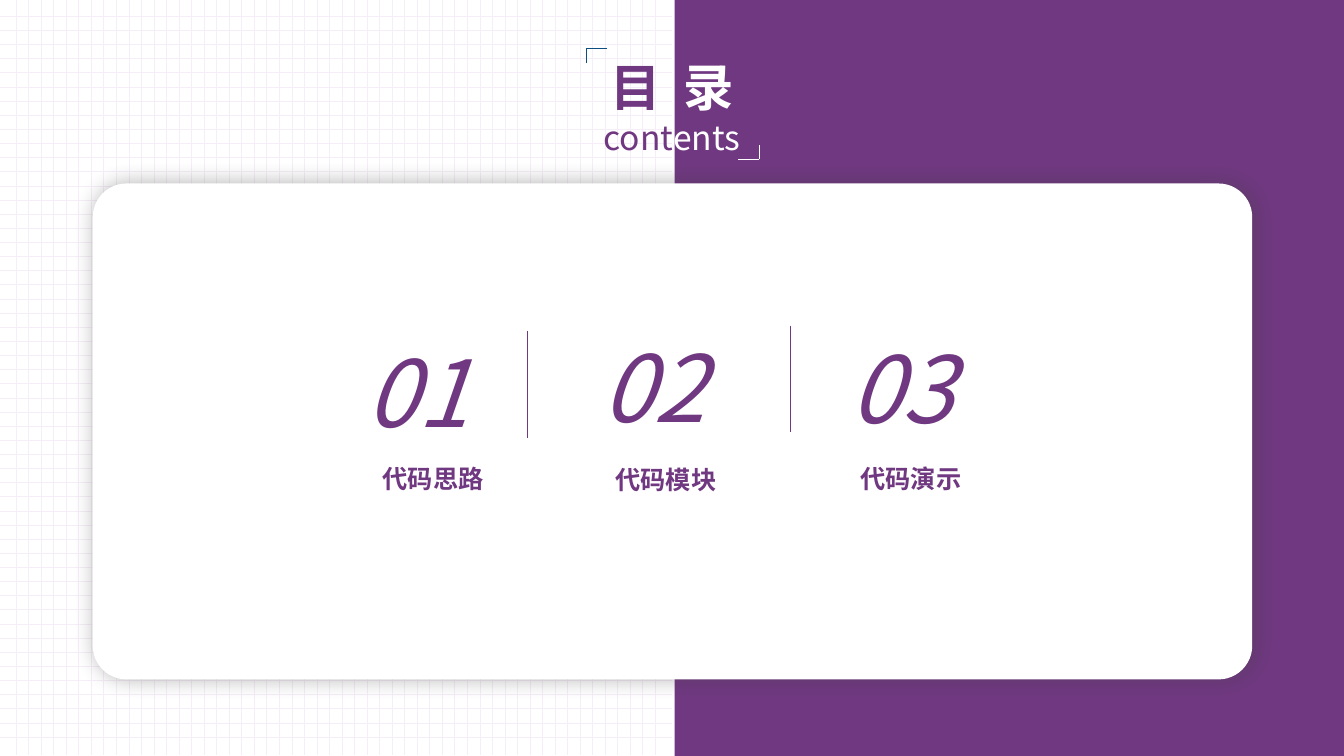
from lxml import etree
from pptx import Presentation
from pptx import util as u
from pptx.dml.color import RGBColor
from pptx.enum import shapes, text
from pptx.oxml import ns

PURPLE, WHITE, GRID, NAVY = "703881", "FFFFFF", "F5EDF7", "0D4E81"


def color(value):
    return RGBColor.from_string(value)


def add_xml(parent, tag, **attrs):
    return etree.SubElement(parent, ns.qn(tag), {k: str(v) for k, v in attrs.items()})


class ContentsSlide:
    font = "Noto Sans CJK SC"

    def __init__(self, deck):
        self.slide = deck.slides.add_slide(deck.slide_layouts[6])

    def line(self, x1, y1, x2, y2, tint, width=0.5):
        rule = self.slide.shapes.add_connector(
            shapes.MSO_CONNECTOR.STRAIGHT, *map(u.Inches, (x1, y1, x2, y2)))
        rule.line.color.rgb = color(tint)
        rule.line.width = u.Pt(width)
        add_xml(rule._element.spPr, "a:effectLst")

    def panel(self, box, tint, radius=None):
        kind = shapes.MSO_SHAPE.ROUNDED_RECTANGLE if radius else shapes.MSO_SHAPE.RECTANGLE
        panel = self.slide.shapes.add_shape(kind, *map(u.Inches, box))
        panel.shadow.inherit = False
        panel.fill.solid()
        panel.fill.fore_color.rgb = color(tint)
        panel.line.fill.background()
        if radius:
            panel.adjustments[0] = radius
        return panel

    def shadow(self, panel, tint, opacity, blur, distance):
        effects = panel._element.spPr.find(ns.qn("a:effectLst"))
        outer = add_xml(effects, "a:outerShdw", blurRad=u.Pt(blur), dist=u.Pt(distance),
                        dir=0, algn="ctr", rotWithShape=0)
        add_xml(add_xml(outer, "a:srgbClr", val=tint), "a:alpha", val=opacity * 1000)

    def text(self, box, lines, align=text.PP_ALIGN.CENTER, outline=None):
        """Each line is (format, [(words, tint, letter spacing), ...])."""
        frame = self.slide.shapes.add_textbox(*map(u.Inches, box)).text_frame
        frame.word_wrap = True
        for index, (style, runs) in enumerate(lines):
            paragraph = frame.add_paragraph() if index else frame.paragraphs[0]
            paragraph.alignment = align
            for words, tint, spacing in runs:
                run = paragraph.add_run()
                run.text = words
                for name, value in {"name": self.font, **style}.items():
                    setattr(run.font, name, value)
                run.font.color.rgb = color(tint)
                props = run._r.get_or_add_rPr()
                add_xml(props, "a:ea", typeface=self.font)
                if spacing:
                    props.set("spc", str(spacing * 100))
                if outline:
                    stroke = add_xml(props, "a:ln", w=u.Pt(outline))
                    add_xml(add_xml(stroke, "a:solidFill"), "a:srgbClr", val=tint)
                    props.insert(0, stroke)


def main():
    deck = Presentation()
    deck.slide_width, deck.slide_height = u.Inches(13.33), u.Inches(7.5)
    page = ContentsSlide(deck)

    # Fine grid on the left half
    count, start = 52, 0.16
    row_step = (7.31 - start) / (count - 1)
    column_step = (6.5 - start) / (count - 1)
    for i in range(count):
        y = start + i * row_step
        page.line(0, y, 6.67, y, GRID, 0.25)
    for i in range(count):
        x = start + i * column_step
        page.line(x, -0.01, x, 7.49, GRID)

    # Purple half and white card
    page.panel((6.69, 0, 6.67, 7.5), PURPLE)
    card = page.panel((0.92, 1.82, 11.5, 4.92), WHITE, radius=0.068)
    page.shadow(card, "404040", opacity=40, blur=15, distance=2)

    # Heading, split in colour at the middle of the slide
    page.text((4.56, 0.51, 4.21, 1.11), [
        ({"size": u.Pt(36), "bold": True},
         [("目", PURPLE, 0), (" ", PURPLE, 8), ("录", WHITE, 0)]),
        ({"size": u.Pt(24), "bold": False},
         [("cont", PURPLE, 0), ("ents", WHITE, 0)]),
    ])

    # Corner brackets around the heading
    for x, y, dx, dy, tint in ((5.82, 0.48, 0.2, 0.15, NAVY), (7.53, 1.58, -0.21, -0.14, WHITE)):
        page.line(x, y, x + dx, y, tint)
        page.line(x, y, x, y + dy, tint)

    # Numbered chapters
    number_style = {"size": u.Pt(66), "italic": True}
    title_style = {"size": u.Pt(18), "bold": True}
    chapters = (
        ("01", (3.53, 3.28, 2.18, 1.21), "代码思路", (2.64, 4.55)),
        ("02", (5.87, 3.23, 2.18, 1.21), "代码模块", (4.95, 4.56)),
        ("03", (8.33, 3.24, 1.35, 1.21), "代码演示", (7.38, 4.55)),
    )
    for number, number_box, title, title_corner in chapters:
        page.text(number_box, [(number_style, [(number, PURPLE, 0)])],
                  text.PP_ALIGN.LEFT, outline=0.75)
        page.text((*title_corner, 3.31, 0.4), [(title_style, [(title, PURPLE, 0)])])

    # Dividers between chapters
    for x, top, bottom in ((5.23, 3.28, 4.35), (7.84, 3.23, 4.29)):
        page.line(x, top, x, bottom, PURPLE)

    deck.save("out.pptx")


if __name__ == "__main__":
    main()
